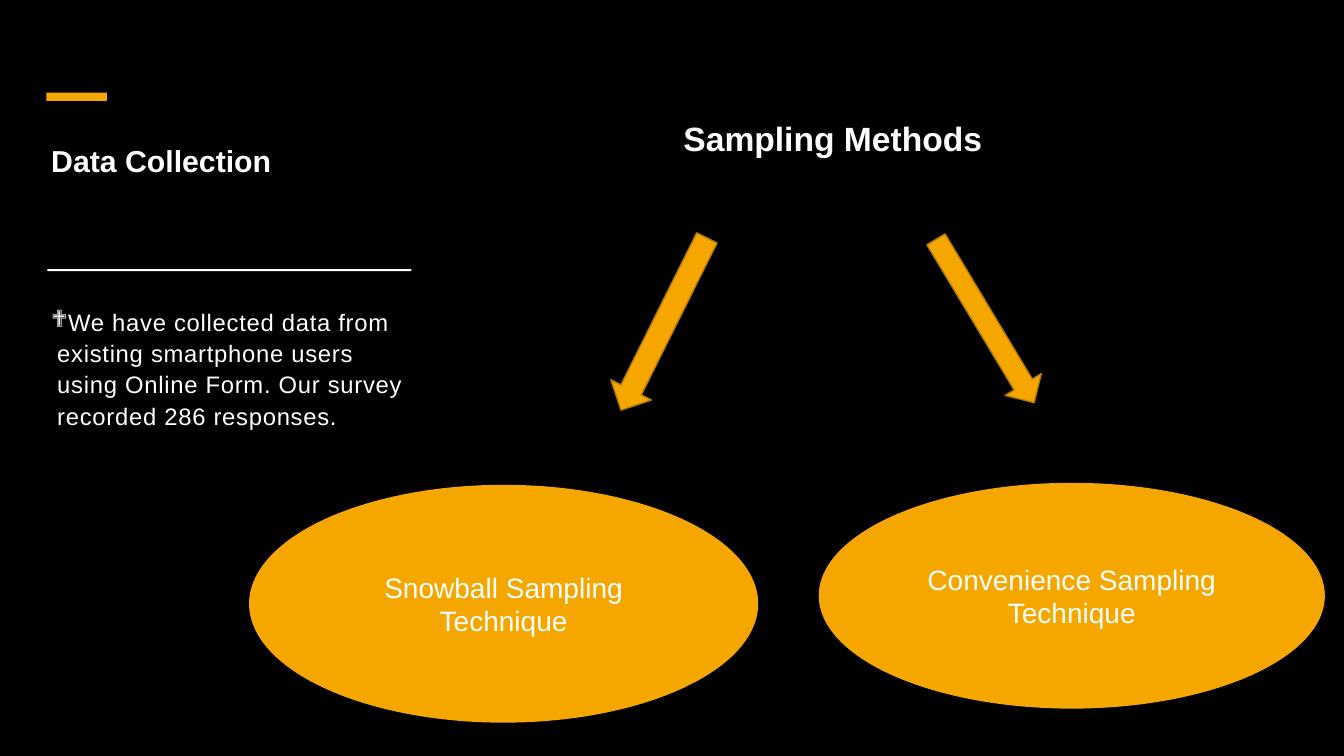
from lxml.etree import SubElement
from pptx import Presentation
from pptx.dml.color import RGBColor
from pptx.enum.shapes import MSO_SHAPE
from pptx.enum.text import MSO_ANCHOR, PP_ALIGN
from pptx.oxml.ns import qn
from pptx.util import Inches, Pt

BLACK = RGBColor(0x00, 0x00, 0x00)
WHITE = RGBColor(0xFF, 0xFF, 0xFF)
AMBER = RGBColor(0xF5, 0xA7, 0x00)
BROWN = RGBColor(0xB5, 0x7C, 0x00)
CELL = Inches(0.1)
COLUMNS, ROWS = 133.3, 75

HEADING = {"name": "Arial", "size": Pt(21.6), "bold": True}
BODY = {"name": "Arial", "size": Pt(17)}
TOPIC = {"name": "Arial", "size": Pt(24), "bold": True}
METHOD = {"name": "Arial", "size": Pt(20)}


def place(origin, column, row, columns, rows):
    """Turn a grid area relative to an origin into slide lengths."""
    left, top = origin
    return [round(cells * CELL) for cells in (left + column, top + row, columns, rows)]


def write(frame, wording, font_format, paragraph_format, anchor):
    """Fill a text frame with one formatted white paragraph."""
    frame.word_wrap = True
    frame.vertical_anchor = anchor
    paragraph = frame.paragraphs[0]
    run = paragraph.add_run()
    run.text = wording
    run.font.color.rgb = WHITE
    for target, values in ((run.font, font_format), (paragraph, paragraph_format)):
        for attribute, value in values.items():
            setattr(target, attribute, value)
    return paragraph


def draw(slide, preset, area, fill, outline=None, rotation=0):
    """Add a flat preset shape, outlined only when a colour is given."""
    shape = slide.shapes.add_shape(preset, *area)
    shape.shadow.inherit = False
    shape.rotation = rotation
    shape.fill.solid()
    shape.fill.fore_color.rgb = fill
    if outline is None:
        shape.line.fill.background()
    else:
        shape.line.color.rgb = outline
        shape.line.width = Pt(1)
    return shape


def add_diamond_bullet(paragraph):
    """Give a paragraph a diamond bullet, its indent and wider letter spacing."""
    properties = paragraph._p.get_or_add_pPr()
    properties.set("marL", str(Inches(0.06)))
    properties.set("indent", str(Inches(-0.31)))
    SubElement(properties, qn("a:buFont")).set("typeface", "Wingdings")
    SubElement(properties, qn("a:buChar")).set("char", "❖")
    paragraph.runs[0].font._element.set("spc", "50")


def data_collection(slide, origin):
    """Build the left column with its accent, heading, rule and statement."""
    draw(slide, MSO_SHAPE.RECTANGLE, place(origin, 0.5, 0, 6, 0.8), AMBER)
    draw(slide, MSO_SHAPE.RECTANGLE, place(origin, 0.6, 17.5, 36.1, 0.2), WHITE)
    heading = slide.shapes.add_textbox(*place(origin, 0, 4.8, 37.6, 11))
    write(heading.text_frame, "Data Collection", HEADING,
          {"line_spacing": 0.9}, MSO_ANCHOR.TOP)
    statement = slide.shapes.add_textbox(*place(origin, 0, 20.5, 37.6, 18.2))
    paragraph = write(
        statement.text_frame,
        "We have collected data from existing smartphone users using "
        "Online Form. Our survey recorded 286 responses.",
        BODY, {"line_spacing": 1.1}, MSO_ANCHOR.TOP)
    add_diamond_bullet(paragraph)


def sampling_methods(slide, origin):
    """Build the topic with an arrow leading to each sampling technique."""
    centred = {"alignment": PP_ALIGN.CENTER}
    topic = draw(slide, MSO_SHAPE.RECTANGLE, place(origin, 36.2, 0, 43.4, 18.8), BLACK, BLACK)
    write(topic.text_frame, "Sampling Methods", TOPIC, centred, MSO_ANCHOR.MIDDLE)
    branches = (
        ("Snowball Sampling Technique", (0, 43.8, 50.5, 23.6), (38.9, 18.3, 4.5, 19.1), 26.5),
        ("Convenience Sampling Technique", (56.5, 43.6, 50.2, 22.4), (70.9, 18.1, 4.2, 18.9), 329),
    )
    for technique, oval_area, arrow_area, angle in branches:
        oval = draw(slide, MSO_SHAPE.OVAL, place(origin, *oval_area), AMBER)
        write(oval.text_frame, technique, METHOD, centred, MSO_ANCHOR.MIDDLE)
        draw(slide, MSO_SHAPE.DOWN_ARROW, place(origin, *arrow_area), AMBER, BROWN, angle)


def main():
    """Build the slide and save it."""
    deck = Presentation()
    deck.slide_width, deck.slide_height = round(COLUMNS * CELL), ROWS * CELL
    slide = deck.slides.add_slide(deck.slide_layouts[6])
    slide.background.fill.solid()
    slide.background.fill.fore_color.rgb = BLACK
    data_collection(slide, (4.1, 9.2))
    sampling_methods(slide, (24.7, 4.3))
    deck.save("out.pptx")


if __name__ == "__main__":
    main()
